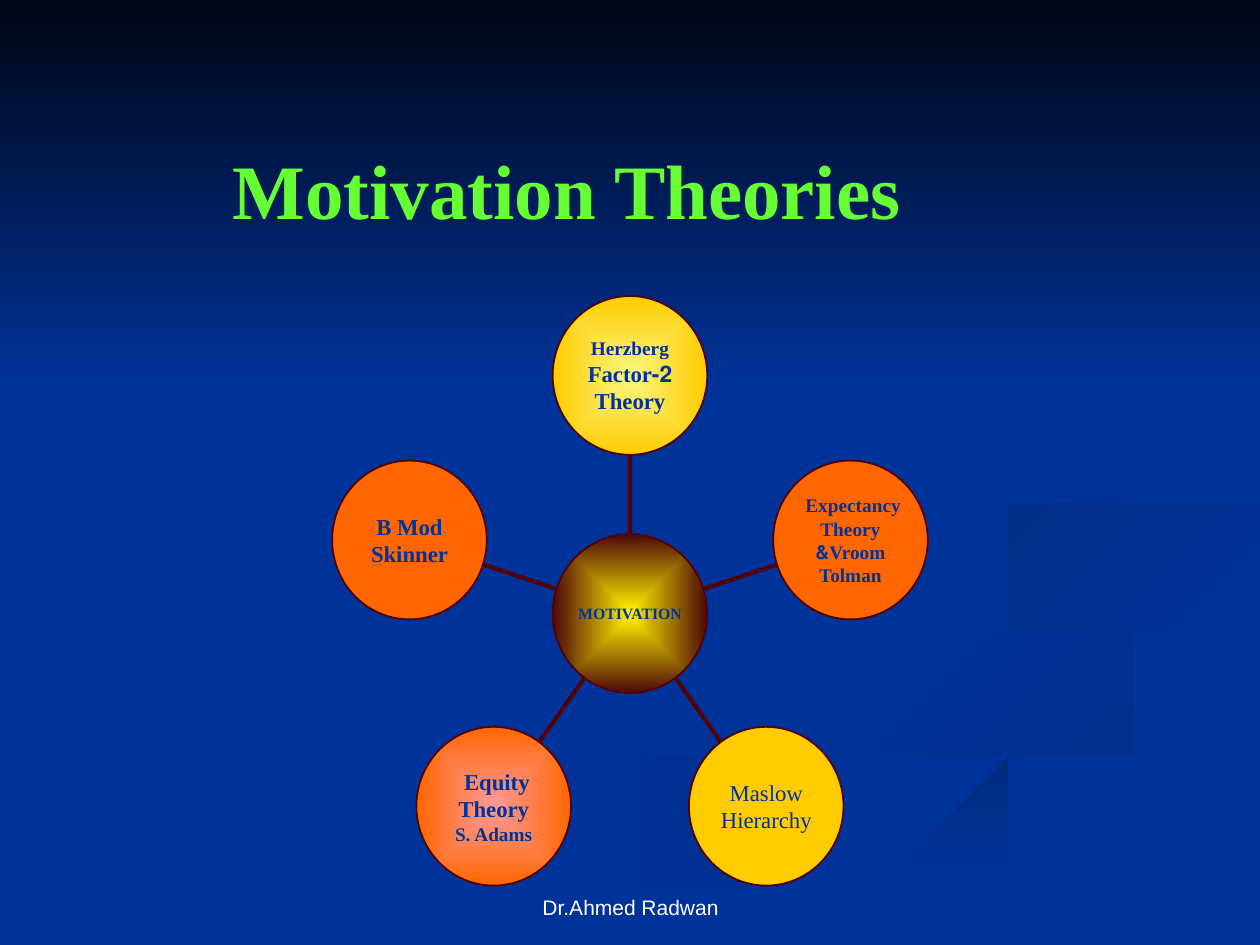
from collections import namedtuple
from math import cos, hypot, pi, sin

from lxml import etree
from pptx import Presentation
from pptx.dml.color import RGBColor
from pptx.enum.shapes import MSO_CONNECTOR, MSO_SHAPE
from pptx.enum.text import MSO_ANCHOR, PP_ALIGN
from pptx.oxml.ns import qn
from pptx.util import Inches, Pt

LEFT, CENTER = PP_ALIGN.LEFT, PP_ALIGN.CENTER
TOP, MIDDLE, BOTTOM = MSO_ANCHOR.TOP, MSO_ANCHOR.MIDDLE, MSO_ANCHOR.BOTTOM
OVAL, RECT = MSO_SHAPE.OVAL, MSO_SHAPE.RECTANGLE
STRAIGHT = MSO_CONNECTOR.STRAIGHT

NAVY = RGBColor(0x00, 0x33, 0x99)
NIGHT = RGBColor(0x00, 0x05, 0x14)
TAIL_SHADE = RGBColor(0x00, 0x2E, 0x8B)
BAND_SHADE = RGBColor(0x00, 0x2A, 0x7D)
HOOK_SHADE = RGBColor(0x00, 0x2D, 0x86)
CREST_SHADE = RGBColor(0x00, 0x2B, 0x82)
WHITE = RGBColor(0xFF, 0xFF, 0xFF)
GREEN = RGBColor(0x66, 0xFF, 0x33)
MAROON = RGBColor(0x54, 0x00, 0x00)
DARK_MAROON = RGBColor(0x4D, 0x08, 0x08)
YELLOW = RGBColor(0xFF, 0xF2, 0x00)
PALE_YELLOW = RGBColor(0xF9, 0xF6, 0x7F)
GOLD = RGBColor(0xFF, 0xCC, 0x00)
ORANGE = RGBColor(0xFF, 0x66, 0x00)
PINK = RGBColor(0xFF, 0x99, 0x97)
SERIF, SANS = "Times New Roman", "Arial"

COLS, ROWS = 10, 7.5
UNIT = Inches(1)
STEPS = 6

Ribbon = namedtuple("Ribbon", "colors angle bends")
Theory = namedtuple("Theory", "colors lines bold")

# each bend is (column, row, ribbon width)
TAIL = Ribbon((NAVY, TAIL_SHADE), 0, [
    (3.3, 7.49, 0.27), (4.24, 7.02, 0.28), (5, 6.74, 0.25), (5.94, 6.45, 0.2),
    (6.76, 6.25, 0.18), (7.4, 6.08, 0.18), (7.85, 5.88, 0.2), (7.92, 5.69, 0.14),
    (7.78, 5.53, 0.03), (7.14, 5.29, 0.02), (6.31, 5.04, 0.03), (5.84, 4.82, 0.06),
    (5.73, 4.68, 0.04), (5.75, 4.59, 0)])
CURL = Ribbon((NAVY, TAIL_SHADE), 45, [
    (8.96, 6.05, 0.01), (9.25, 5.89, 0.14), (9.3, 5.74, 0.24), (9.13, 5.55, 0.18),
    (8.44, 5.3, 0.13), (7.86, 5.13, 0.11), (7.42, 4.92, 0.07), (7.24, 4.64, 0)])
BAND = Ribbon((BAND_SHADE, NAVY), 90, [
    (5.37, 7.49, 0.3), (6.4, 7.01, 0.23), (7.64, 6.57, 0.2), (8.67, 6.29, 0.18),
    (9.36, 6.12, 0.2), (9.98, 5.95, 0.28)])
VEIL = Ribbon((NAVY,), 0, [
    (4.9, 7.49, 0.1), (6, 6.99, 0.13), (7.04, 6.6, 0.1), (8.13, 6.3, 0.09),
    (8.92, 6.09, 0.1), (9.6, 5.82, 0.3), (9.7, 5.58, 0.36), (9, 5.28, 0.22),
    (8.4, 5.11, 0.24), (7.77, 4.89, 0.38), (7.53, 4.62, 0.55), (7.78, 4.38, 0.26),
    (8.32, 4.23, 0.16), (9.2, 4.09, 0.16), (9.99, 3.95, 0.15)])
HOOK = Ribbon((HOOK_SHADE, NAVY), 45, [
    (9.98, 4.11, 0.18), (9.34, 4.22, 0.14), (8.62, 4.34, 0.18), (8.17, 4.46, 0.2),
    (7.93, 4.63, 0.24), (8, 4.81, 0.12), (8.26, 4.96, 0)])
CREST = Ribbon((CREST_SHADE, NAVY), 45, [
    (6.22, 5, 0), (5.96, 4.85, 0.1), (5.86, 4.65, 0.16), (5.98, 4.47, 0.18),
    (6.43, 4.29, 0.17), (7.08, 4.17, 0.18), (7.8, 4.03, 0.19), (8.48, 3.84, 0.17),
    (8.82, 3.6, 0.13), (8.91, 3.35, 0.04), (8.79, 3.08, 0.03), (8.45, 2.78, 0.02),
    (7.99, 2.51, 0.02), (7.62, 2.33, 0)])

HUB = Theory((YELLOW, DARK_MAROON), [("MOTIVATION", 9)], True)
THEORIES = [
    Theory((PALE_YELLOW, GOLD), [("Herzberg", 11), ("2-Factor", 13), ("Theory", 13)], True),
    Theory((ORANGE,), [("Expectancy ", 11), ("Theory", 11), ("Vroom&", 11), ("Tolman", 11)], True),
    Theory((GOLD,), [("Maslow", 13), ("Hierarchy", 13)], False),
    Theory((PINK, ORANGE), [("Equity ", 13), ("Theory", 13), ("S. Adams", 11)], True),
    Theory((ORANGE,), [("B Mod", 13), ("Skinner", 13)], True),
]


def emu(*lengths):
    return [round(n * UNIT) for n in lengths]


def paint(sp, colors, angle=None):
    sp.shadow.inherit = False
    if len(colors) == 1:
        sp.fill.solid()
        sp.fill.fore_color.rgb = colors[0]
        return
    sp.fill.gradient()
    for stop, color in zip(sp.fill.gradient_stops, colors):
        stop.color.rgb = color
    grad = sp._element.spPr.find(qn("a:gradFill"))
    lin = grad.find(qn("a:lin"))
    if angle is not None:
        lin.set("ang", str(angle * 60000))
        lin.set("scaled", "0")
        return
    grad.remove(lin)
    radial = etree.SubElement(grad, qn("a:path"), path="rect")
    etree.SubElement(radial, qn("a:fillToRect"), l="50000", t="50000", r="50000", b="50000")


def write(sp, lines, color, font=SERIF, bold=False, align=CENTER, anchor=MIDDLE,
          rtl=False, wrap=True, insets=(0.1, 0.05)):
    tf = sp.text_frame
    tf.word_wrap = wrap
    tf.vertical_anchor = anchor
    tf.margin_left = tf.margin_right = Inches(insets[0])
    tf.margin_top = tf.margin_bottom = Inches(insets[1])
    for i, (text, size) in enumerate(lines):
        p = tf.add_paragraph() if i else tf.paragraphs[0]
        p.alignment = align
        if rtl:
            p._p.get_or_add_pPr().set("rtl", "1")
        r = p.add_run()
        r.text = text
        r.font.name, r.font.size, r.font.bold = font, Pt(size), bold
        r.font.color.rgb = color


def spline(a, b, c, d, t):
    return (2 * b + (c - a) * t + (2 * a - 5 * b + 4 * c - d) * t ** 2
            + (3 * b - a - 3 * c + d) * t ** 3) / 2


def smooth(bends):
    padded = [bends[0], *bends, bends[-1]]
    curve = []
    for four in zip(padded, padded[1:], padded[2:], padded[3:]):
        curve += [tuple(spline(*axis, step / STEPS) for axis in zip(*four))
                  for step in range(STEPS)]
    return curve + [bends[-1]]


def ribbon_outline(bends):
    curve = smooth(bends)
    one_side, other_side = [], []
    for before, (x, y, width), after in zip(curve[:1] + curve, curve, curve[1:] + curve[-1:]):
        dx, dy = after[0] - before[0], after[1] - before[1]
        half = max(width, 0) / 2 / hypot(dx, dy)
        one_side.append((x - dy * half, y + dx * half))
        other_side.append((x + dy * half, y - dx * half))
    return one_side + other_side[::-1]


def add_ribbon(shapes, box, ribbon):
    x, y, w, h = box
    points = [(x + min(px, w - 0.01), y + min(py, h - 0.01))
              for px, py in ribbon_outline(ribbon.bends)]
    builder = shapes.build_freeform(*points[0], scale=UNIT)
    builder.add_line_segments(points[1:], close=True)
    sp = builder.convert_to_shape()
    paint(sp, ribbon.colors, ribbon.angle)
    sp.line.fill.background()


def draw_backdrop(shapes, box):
    x, y, w, h = box
    for ribbon in (TAIL, CURL, BAND, VEIL, HOOK, CREST):
        add_ribbon(shapes, box, ribbon)
    sky = shapes.add_shape(RECT, *emu(x, y, w, h * 0.41))
    paint(sky, (NIGHT, NAVY), 90)
    sky.line.fill.background()


def add_circle(shapes, cx, cy, w, h, theory):
    sp = shapes.add_shape(OVAL, *emu(cx - w / 2, cy - h / 2, w, h))
    paint(sp, theory.colors)
    sp.line.color.rgb = MAROON
    sp.line.width = Pt(1)
    write(sp, theory.lines, NAVY, bold=theory.bold, rtl=True, wrap=False, insets=(0.07, 0.04))


def draw_wheel(shapes, box, hub_row, reach):
    x, y, w, h = box
    cx, cy = x + w / 2, y + hub_row
    rx, ry = reach
    size = rx * 2 / 3, ry * 2 / 3
    for i, theory in enumerate(THEORIES):
        angle = 2 * pi * i / len(THEORIES)
        dx, dy = rx * sin(angle), -ry * cos(angle)
        spoke = shapes.add_connector(
            STRAIGHT, *emu(cx + dx / 3, cy + dy / 3, cx + dx * 2 / 3, cy + dy * 2 / 3))
        spoke.line.color.rgb = MAROON
        spoke.line.width = Pt(2.25)
        etree.SubElement(spoke._element.spPr, qn("a:effectLst"))
        add_circle(shapes, cx + dx, cy + dy, *size, theory)
    add_circle(shapes, cx, cy, *size, HUB)


def main():
    prs = Presentation()
    prs.slide_width, prs.slide_height = emu(COLS, ROWS)
    slide = prs.slides.add_slide(prs.slide_layouts[6])
    slide.background.fill.solid()
    slide.background.fill.fore_color.rgb = NAVY
    shapes = slide.shapes
    draw_backdrop(shapes.add_group_shape().shapes, (0, 0, COLS, ROWS))
    footer = shapes.add_textbox(*emu(3.42, 6.83, 3.17, 0.52))
    write(footer, [("Dr.Ahmed Radwan", 12)], WHITE, font=SANS, anchor=BOTTOM)
    title = shapes.add_textbox(*emu(1.75, 1.08, 6.17, 0.84))
    write(title, [("Motivation Theories", 44)], GREEN, bold=True, align=LEFT, anchor=TOP)
    draw_wheel(shapes.add_group_shape().shapes, (2.65, 2.35, 4.7, 4.69),
               hub_row=2.52, reach=(1.84, 1.89))
    prs.save("out.pptx")


if __name__ == "__main__":
    main()
